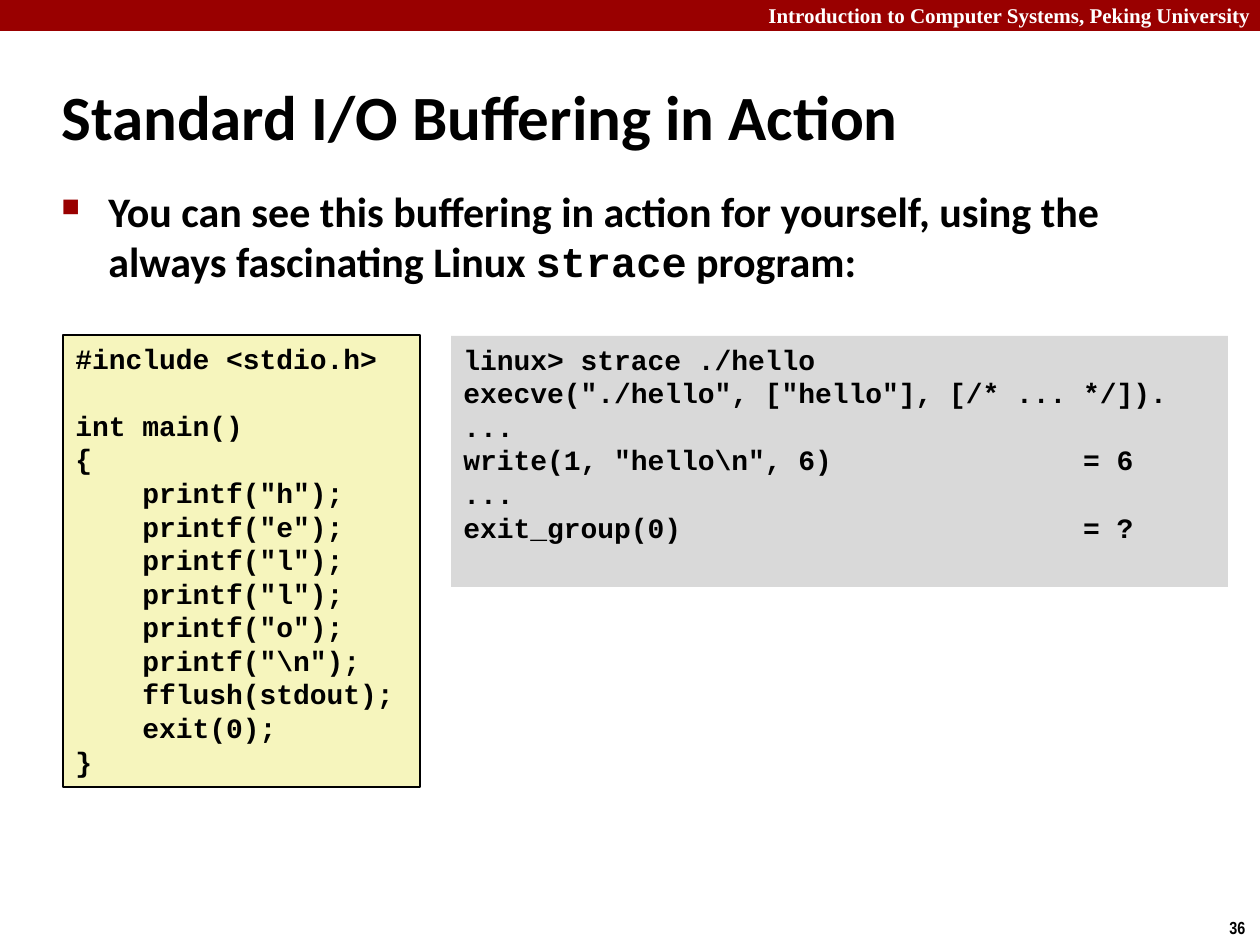
import pptx
import pptx.dml.color
import pptx.enum.shapes
import pptx.enum.text
import pptx.oxml
import pptx.oxml.ns
import pptx.util
from dataclasses import dataclass

EMU_PER_PX = 914400 / 126
ANCHOR = pptx.enum.text.MSO_ANCHOR


@dataclass(frozen=True)
class Theme:
    red: str = "990000"
    black: str = "000000"
    white: str = "FFFFFF"
    yellow: str = "F6F5BD"
    gray: str = "D9D9D9"
    heading_font: str = "Calibri"
    code_font: str = "Courier New"
    header_font: str = "Times New Roman"
    number_font: str = "Arial Narrow"
    title_size: int = 36
    body_size: int = 24
    code_size: int = 16
    code_pitch: float = 19.2
    header_size: int = 12
    number_size: int = 10


THEME = Theme()

HELLO_SOURCE = r'''#include <stdio.h>

int main()
{
    printf("h");
    printf("e");
    printf("l");
    printf("l");
    printf("o");
    printf("\n");
    fflush(stdout);
    exit(0);
}'''

STRACE_OUTPUT = r'''linux> strace ./hello
execve("./hello", ["hello"], [/* ... */]).
...
write(1, "hello\n", 6)               = 6
...
exit_group(0)                        = ?'''


def px(length):
    return pptx.util.Emu(round(length * EMU_PER_PX))


def rgb(color):
    return pptx.dml.color.RGBColor.from_string(color)


def add_run(paragraph, text, *, font, size, color=THEME.black):
    run = paragraph.add_run()
    run.text = text
    run.font.name = font
    run.font.size = pptx.util.Pt(size)
    run.font.bold = True
    run.font.color.rgb = rgb(color)


def write_text(shape, text, *, anchor=ANCHOR.TOP, wrap=True, pitch=None, **run_format):
    """Write each line of text as a paragraph; return the last paragraph."""
    frame = shape.text_frame
    frame.word_wrap = wrap
    frame.vertical_anchor = anchor
    for index, line in enumerate(text.split("\n")):
        paragraph = frame.add_paragraph() if index else frame.paragraphs[0]
        paragraph.alignment = pptx.enum.text.PP_ALIGN.LEFT
        if pitch:
            paragraph.line_spacing = pptx.util.Pt(pitch)
        if line:
            add_run(paragraph, line, **run_format)
    return paragraph


def add_box(slide, left, top, width, height, fill, line=None):
    shape = slide.shapes.add_shape(
        pptx.enum.shapes.MSO_SHAPE.RECTANGLE, px(left), px(top), px(width), px(height))
    shape.shadow.inherit = False
    shape.fill.solid()
    shape.fill.fore_color.rgb = rgb(fill)
    if line:
        shape.line.color.rgb = rgb(line)
        shape.line.width = pptx.util.Pt(1)
    else:
        shape.line.fill.background()
    return shape


def add_label(slide, text, left, top, width, height, **text_format):
    box = slide.shapes.add_textbox(px(left), px(top), px(width), px(height))
    return write_text(box, text, **text_format)


def add_code(slide, code, left, top, width, height, fill, line=None):
    box = add_box(slide, left, top, width, height, fill, line)
    write_text(box, code, pitch=THEME.code_pitch,
               font=THEME.code_font, size=THEME.code_size)


def set_square_bullet(paragraph, indent):
    properties = paragraph._p.get_or_add_pPr()
    properties.set("marL", str(px(indent)))
    properties.set("indent", str(-px(indent)))
    namespace = pptx.oxml.ns.nsdecls("a")
    for element in (
        f'<a:buClr {namespace}><a:srgbClr val="{THEME.red}"/></a:buClr>',
        f'<a:buSzPct {namespace} val="60000"/>',
        f'<a:buChar {namespace} char="■"/>',
    ):
        properties.append(pptx.oxml.parse_xml(element))


def main():
    presentation = pptx.Presentation()
    presentation.slide_width = px(1260)
    presentation.slide_height = px(945)
    slide = presentation.slides.add_slide(presentation.slide_layouts[6])

    # Header band and page number
    add_box(slide, 0, 0, 1260, 31, THEME.red)
    add_label(slide, "Introduction to Computer Systems, Peking University",
              756, -4, 513, 38, font=THEME.header_font,
              size=THEME.header_size, color=THEME.white)
    add_label(slide, "36", 1217, 911, 43, 34, wrap=False,
              font=THEME.number_font, size=THEME.number_size)

    # Title
    add_label(slide, "Standard I/O Buffering in Action", 49, 63, 1046, 105,
              anchor=ANCHOR.MIDDLE, font=THEME.heading_font, size=THEME.title_size)

    # Bulleted statement
    body = {"font": THEME.heading_font, "size": THEME.body_size}
    statement = add_label(
        slide, "You can see this buffering in action for yourself, "
        "using the always fascinating Linux ", 49, 179, 1089, 685, **body)
    add_run(statement, "strace", font=THEME.code_font, size=THEME.body_size)
    add_run(statement, " program:", **body)
    set_square_bullet(statement, 47)

    # Trace output and program source
    add_code(slide, STRACE_OUTPUT, 451, 336, 777, 251, THEME.gray)
    add_code(slide, HELLO_SOURCE, 63, 335, 357, 452, THEME.yellow, THEME.black)

    presentation.save("out.pptx")


if __name__ == "__main__":
    main()
